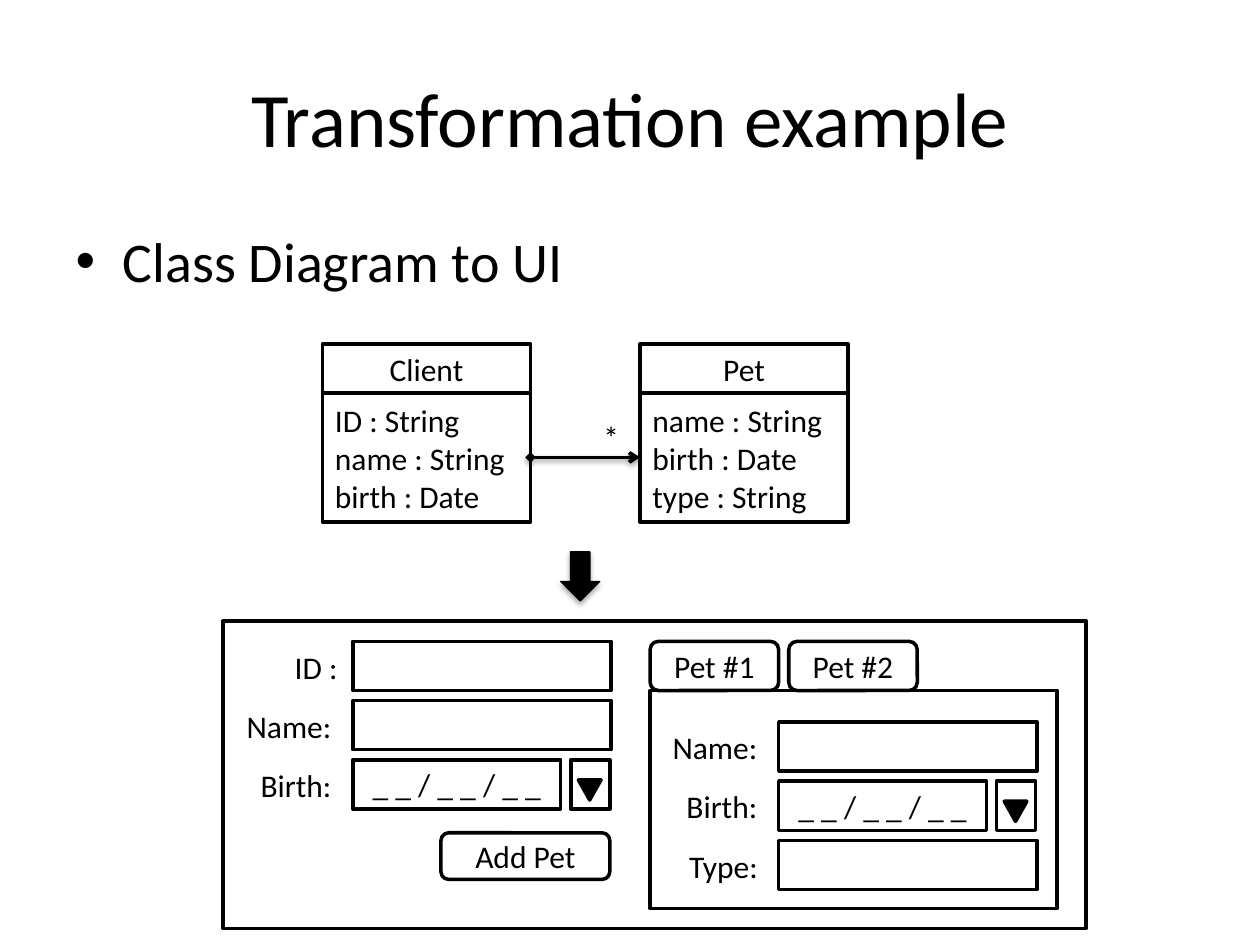
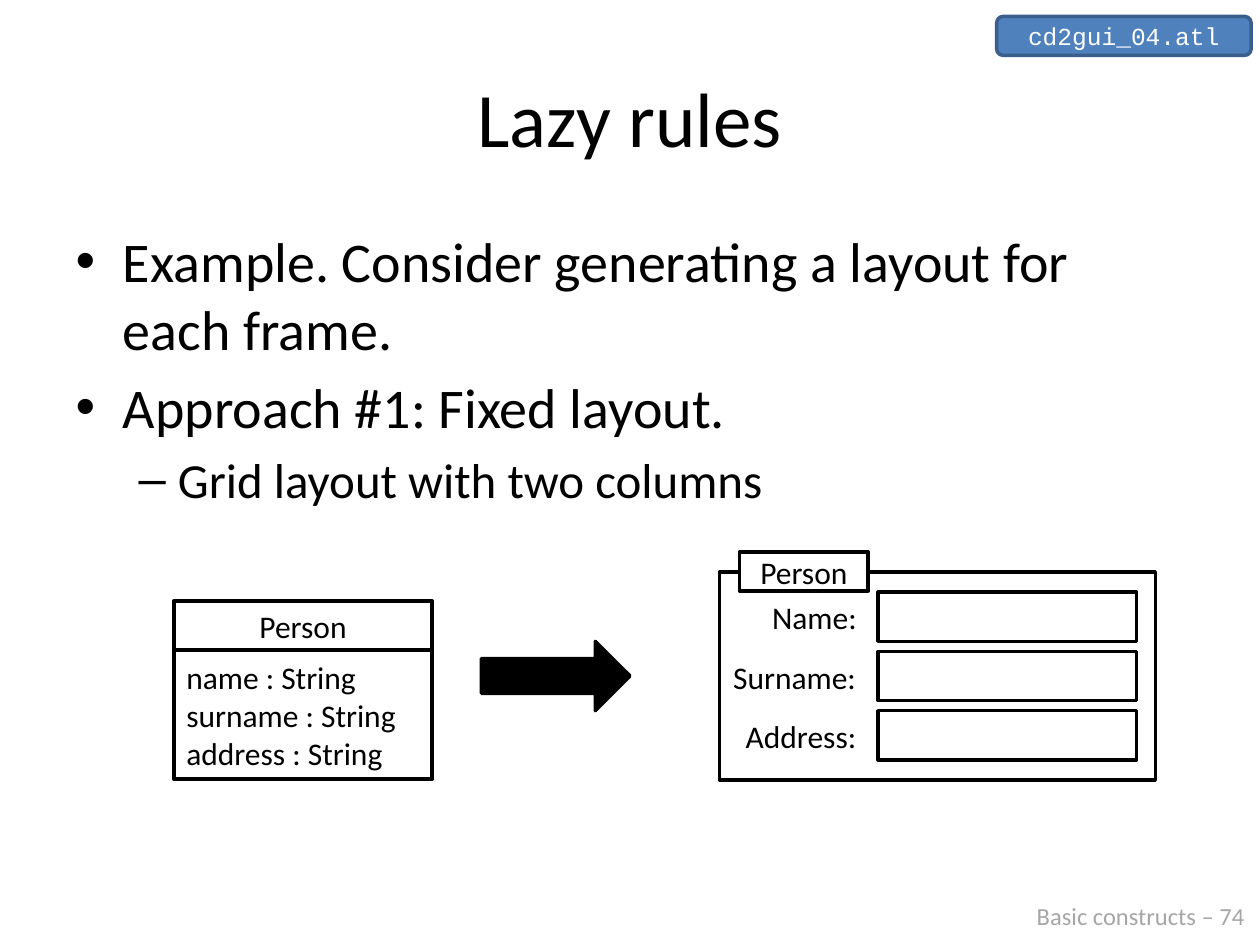
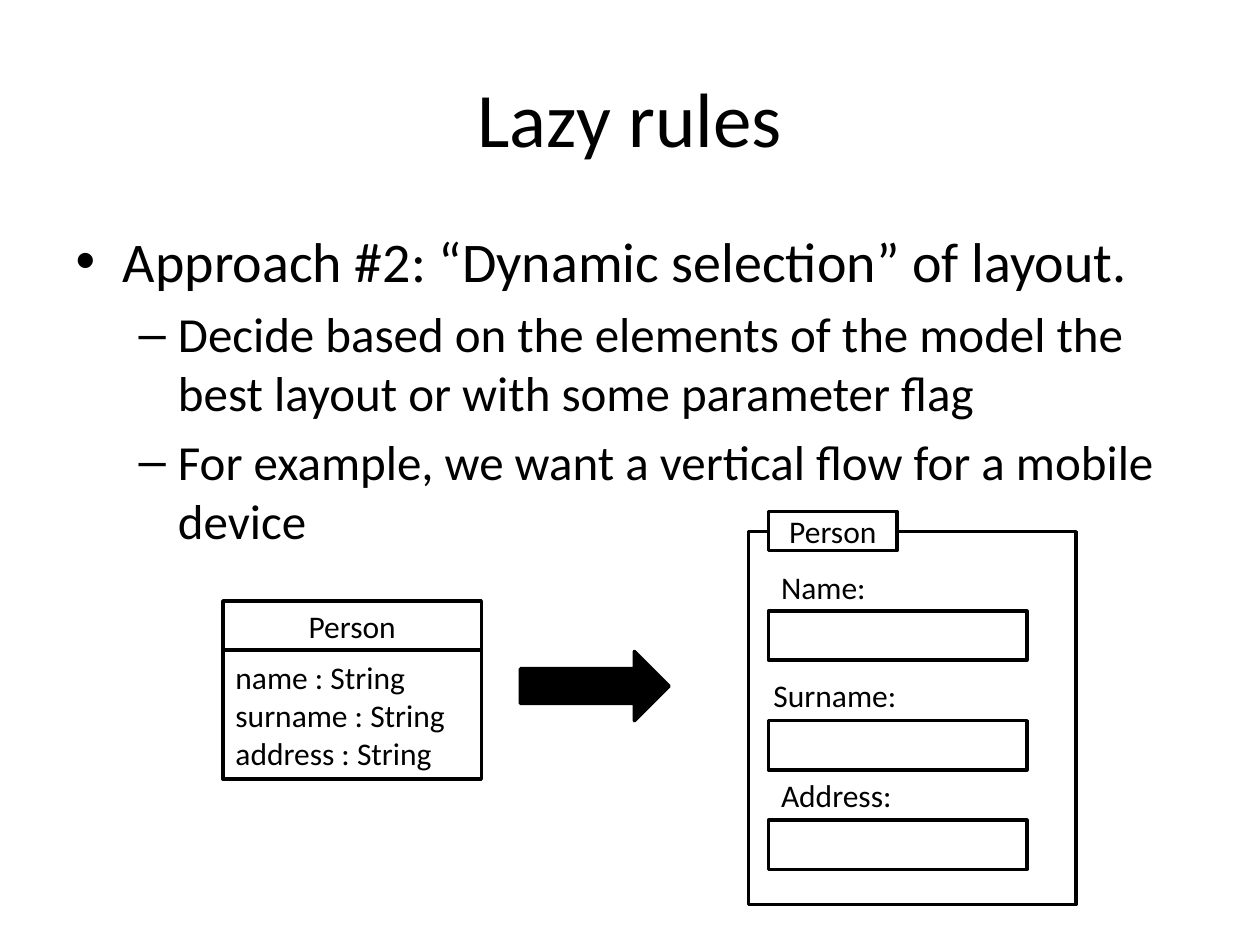
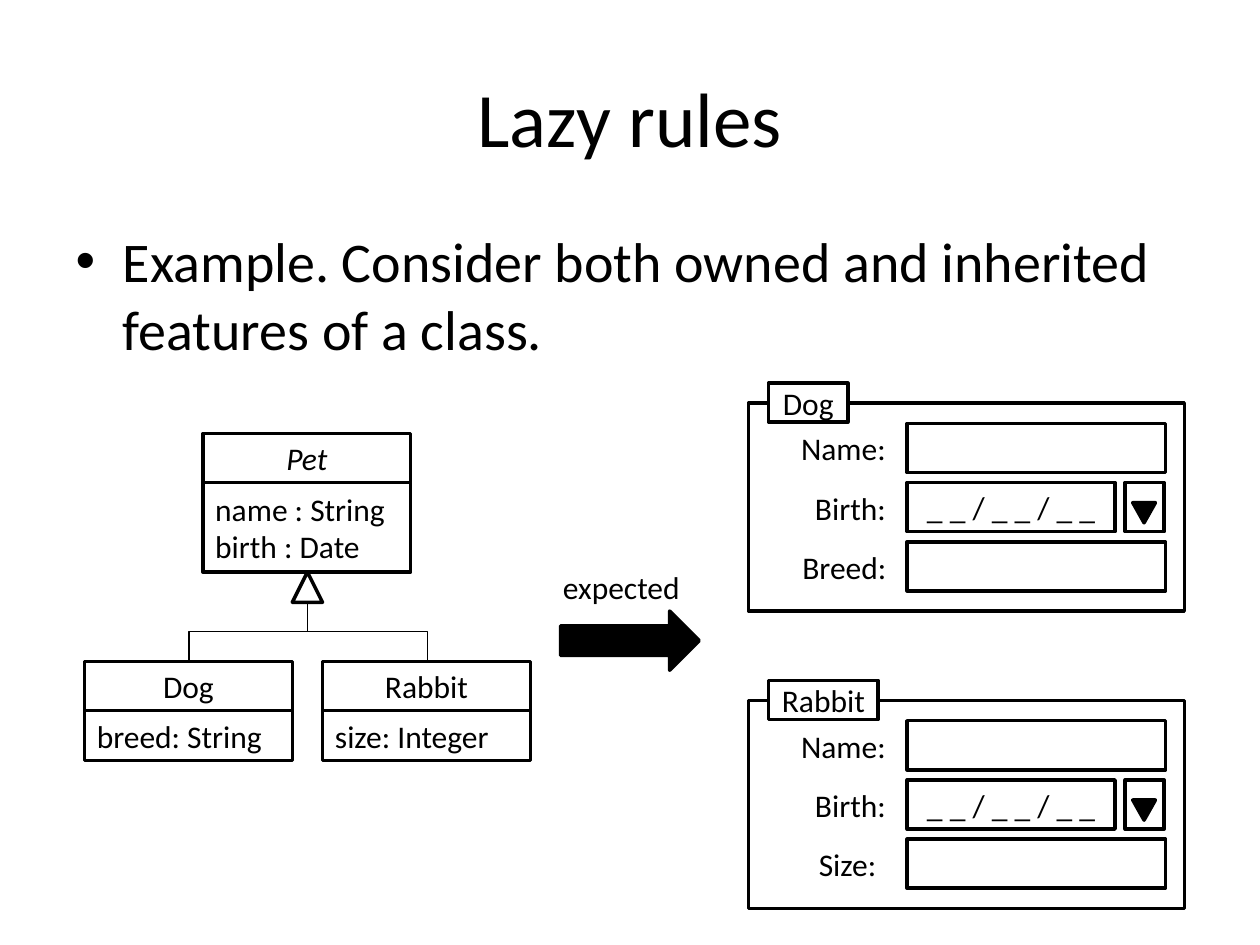
from dataclasses import dataclass

import pptx
import pptx.dml.color
import pptx.enum.shapes
import pptx.enum.text
import pptx.oxml
import pptx.oxml.ns
import pptx.util
from pptx.util import Inches

Color = pptx.dml.color.RGBColor
Shape = pptx.enum.shapes.MSO_SHAPE
Link = pptx.enum.shapes.MSO_CONNECTOR
Align = pptx.enum.text.PP_ALIGN
Anchor = pptx.enum.text.MSO_ANCHOR
AutoSize = pptx.enum.text.MSO_AUTO_SIZE

BLACK = Color(0x00, 0x00, 0x00)
WHITE = Color(0xFF, 0xFF, 0xFF)
GREY = Color(0xA6, 0xA6, 0xA6)
BLUE = Color(0x4F, 0x81, 0xBD)
DARK_BLUE = Color(0x3A, 0x5F, 0x8C)

FONT = "Calibri"
CODE_FONT = "Courier New"
BODY_SIZES = (32, 28)
ROW_H = 0.39      # height of fields and class names
ROW_PITCH = 0.47  # distance between form rows
FIELD_W = 2.05
DATE_W = 1.65
TAB_H = 0.31
PAD = 0.16        # space between a frame and its contents


@dataclass
class Box:
    x: float
    y: float
    w: float
    h: float


@dataclass
class Style:
    size: float = 18
    color: Color = BLACK
    font: str = FONT
    italic: bool = False


@dataclass
class Row:
    label: str
    label_w: float
    date: bool = False
    gap: float = 0


@dataclass
class UmlClass:
    name: str
    attributes: list[str]
    x: float
    y: float
    w: float = 1.65
    abstract: bool = False


TEXT = Style()
NAME = Row("Name:", 0.94)
BIRTH = Row("Birth:", 0.83, date=True)
SURNAME = Row("Surname:", 1.25)
ADDRESS = Row("Address:", 1.15)
PERSON = ["name : String", "surname : String", "address : String"]


# Text and basic shapes

def add_run(p, text: str, style: Style) -> None:
    r = p.add_run()
    r.text = text
    r.font.size = pptx.util.Pt(style.size)
    r.font.name = style.font
    r.font.color.rgb = style.color
    if style.italic:
        r.font.italic = True


def add_lines(tf, lines: list[str], style: Style, align=None) -> None:
    for i, line in enumerate(lines):
        p = tf.add_paragraph() if i else tf.paragraphs[0]
        p.alignment = align
        add_run(p, line, style)


def place(sp, box: Box) -> None:
    sp.left, sp.top = Inches(box.x), Inches(box.y)
    sp.width, sp.height = Inches(box.w), Inches(box.h)


def add_box(s, box: Box, lines=(), kind=Shape.RECTANGLE, fill=WHITE, line=BLACK,
            line_w: float = 2, style: Style = TEXT, align=Align.CENTER):
    sp = s.shapes.add_shape(kind, Inches(box.x), Inches(box.y), Inches(box.w), Inches(box.h))
    sp.shadow.inherit = False
    sp.fill.solid()
    sp.fill.fore_color.rgb = fill
    sp.line.color.rgb = line
    sp.line.width = pptx.util.Pt(line_w)
    sp.text_frame.vertical_anchor = Anchor.MIDDLE
    add_lines(sp.text_frame, lines, style, align)
    return sp


def add_label(s, box: Box, text: str, style: Style = TEXT, wrap: bool = False) -> None:
    tf = s.shapes.add_textbox(Inches(box.x), Inches(box.y), Inches(box.w), Inches(box.h)).text_frame
    tf.word_wrap = wrap
    tf.auto_size = AutoSize.SHAPE_TO_FIT_TEXT
    add_lines(tf, [text], style)


def add_xml(parent, xml: str) -> None:
    tag, rest = xml.split(" ", 1)
    parent.append(pptx.oxml.parse_xml(f"<a:{tag} {pptx.oxml.ns.nsdecls('a')} {rest}"))


def add_shadow(sp, alpha: int, dist: int) -> None:
    """Replace the effects by a soft shadow below the shape."""
    props = sp._element.spPr
    for effects in props.findall(pptx.oxml.ns.qn("a:effectLst")):
        props.remove(effects)
    add_xml(props, f'effectLst ><a:outerShdw blurRad="40000" dist="{dist}" dir="5400000" '
                   f'rotWithShape="0"><a:srgbClr val="{BLACK}"><a:alpha val="{alpha}000"/>'
                   '</a:srgbClr></a:outerShdw></a:effectLst>')


def add_link(s, kind, x1: float, y1: float, x2: float, y2: float, width: float):
    link = s.shapes.add_connector(kind, Inches(x1), Inches(y1), Inches(x2), Inches(y2))
    link.line.color.rgb = BLACK
    link.line.width = pptx.util.Pt(width)
    return link


# Class diagrams

def draw_class(s, c: UmlClass) -> None:
    add_box(s, Box(c.x, c.y, c.w, ROW_H), [c.name], style=Style(italic=c.abstract))
    height = 0.08 + 0.315 * len(c.attributes)
    add_box(s, Box(c.x, c.y + ROW_H, c.w, height), c.attributes, align=Align.LEFT)


def draw_inheritance(s, x: float, y: float, parent_x: float, parent_y: float) -> None:
    """Elbow that leaves the child upwards: a turned box around the middle."""
    mid_x, mid_y = (x + parent_x) / 2, (y + parent_y) / 2
    side = 1 if x < parent_x else -1
    dx, dy = side * (y - parent_y) / 2, abs(x - parent_x) / 2
    link = add_link(s, Link.ELBOW, mid_x + dx, mid_y + dy, mid_x - dx, mid_y - dy, 0.75)
    link._element.spPr.xfrm.set("rot", str((180 - 90 * side) * 60000))
    add_xml(link._element.spPr, "effectLst />")


def draw_arrow(s, box: Box) -> None:
    add_box(s, box, kind=Shape.RIGHT_ARROW, fill=BLACK)


# Form mock-ups

def draw_field(s, x: float, y: float, date: bool = False) -> None:
    if not date:
        add_box(s, Box(x, y, FIELD_W, ROW_H))
        return
    add_box(s, Box(x, y, DATE_W, ROW_H), ["_ _ / _ _ / _ _"])
    add_box(s, Box(x + 1.73, y, 0.31, ROW_H))
    mark = add_box(s, Box(x + 1.79, y + 0.16, 0.18, 0.16), kind=Shape.ISOSCELES_TRIANGLE, fill=BLACK)
    mark._element.spPr.xfrm.set("flipV", "1")


def draw_rows(s, x: float, y: float, rows: list[Row]) -> None:
    for i, row in enumerate(rows):
        top = y + i * ROW_PITCH
        add_label(s, Box(x - row.gap - row.label_w, top, row.label_w, 0.4), row.label)
        draw_field(s, x, top, row.date)


def draw_frame(s, box: Box, title: str, tab_w: float) -> None:
    add_box(s, box)
    add_box(s, Box(box.x + PAD, box.y - PAD, tab_w, TAB_H), [title])


def draw_grid_form(s, x: float, y: float, title: str, tab_w: float, rows: list[Row]) -> None:
    draw_frame(s, Box(x, y, 3.46, 1.65), title, tab_w)
    draw_rows(s, x + 1.26, y + PAD, rows)


# Slides

def new_slide(prs, title: str, bullets: list[tuple[int, str]], body_h: float = 4.95):
    s = prs.slides.add_slide(prs.slide_layouts[1])
    place(s.shapes.title, Box(0.5, 0.3, 9, 1.25))
    add_lines(s.shapes.title.text_frame, [title], Style(44), Align.CENTER)
    body = s.placeholders[1]
    place(body, Box(0.5, 1.75, 9, body_h))
    tf = body.text_frame
    for i, (level, text) in enumerate(bullets):
        p = tf.add_paragraph() if i else tf.paragraphs[0]
        p.level = level
        add_run(p, text, Style(BODY_SIZES[level]))
    return s


def transformation_slide(prs) -> None:
    s = new_slide(prs, "Transformation example", [(0, "Class Diagram to UI")], 0.66)
    draw_class(s, UmlClass("Client", ["ID : String", "name : String", "birth : Date"], 2.56, 2.73))
    draw_class(s, UmlClass("Pet", ["name : String", "birth : Date", "type : String"], 5.08, 2.73))
    link = add_link(s, Link.STRAIGHT, 4.21, 3.63, 5.08, 3.63, 2)
    ln = link.line._get_or_add_ln()
    add_xml(ln, 'headEnd type="diamond"/>')
    add_xml(ln, 'tailEnd type="arrow"/>')
    add_shadow(link, 38, 20000)
    add_label(s, Box(4.69, 3.27, 0.33, 0.4), "*")

    # Client form
    add_box(s, Box(1.77, 4.93, 6.85, 2.44))
    draw_rows(s, 2.8, 5.09, [Row("ID :", 0.61, gap=-0.05), NAME, BIRTH])
    add_box(s, Box(3.5, 6.61, 1.34, 0.37), ["Add Pet"], Shape.ROUNDED_RECTANGLE)

    # Pet tabs
    add_box(s, Box(5.16, 5.48, 3.23, 1.73))
    for i in range(2):
        add_box(s, Box(5.16 + 1.1 * i, 5.09, 1.02, ROW_H), [f"Pet #{i + 1}"], Shape.ROUNDED_RECTANGLE)
    draw_rows(s, 6.18, 5.73, [NAME, BIRTH, Row("Type:", 0.81)])

    down = add_box(s, Box(4.45, 4.38, 0.31, 0.39), kind=Shape.DOWN_ARROW, fill=BLACK, line_w=0.75)
    add_shadow(down, 35, 23000)


def fixed_layout_slide(prs) -> None:
    s = new_slide(prs, "Lazy rules", [
        (0, "Example. Consider generating a layout for each frame."),
        (0, "Approach #1: Fixed layout."),
        (1, "Grid layout with two columns")])
    add_box(s, Box(7.91, 0.13, 2.02, 0.31), ["cd2gui_04.atl"], Shape.ROUNDED_RECTANGLE,
            BLUE, DARK_BLUE, style=Style(14, WHITE, CODE_FONT))
    draw_class(s, UmlClass("Person", PERSON, 1.38, 4.77, FIELD_W))
    draw_grid_form(s, 5.71, 4.54, "Person", 1.02, [NAME, SURNAME, ADDRESS])
    draw_arrow(s, Box(3.82, 5.09, 1.18, 0.55))
    add_label(s, Box(8.13, 7.1, 1.87, 0.34), "Basic constructs – 74", Style(14, GREY))


def dynamic_layout_slide(prs) -> None:
    s = new_slide(prs, "Lazy rules", [
        (0, "Approach #2: “Dynamic selection” of layout."),
        (1, "Decide based on the elements of the model the best layout or with some parameter flag"),
        (1, "For example, we want a vertical flow for a mobile device")])
    draw_class(s, UmlClass("Person", PERSON, 1.77, 4.77, FIELD_W))
    draw_arrow(s, Box(4.13, 5.17, 1.18, 0.55))
    draw_frame(s, Box(5.94, 4.22, 2.6, 2.96), "Person", 1.02)
    add_label(s, Box(6.1, 4.46, 1.02, 0.4), NAME.label, wrap=True)
    add_label(s, Box(6.04, 5.32, SURNAME.label_w, 0.4), SURNAME.label)
    add_label(s, Box(6.1, 6.11, ADDRESS.label_w, 0.4), ADDRESS.label)
    for y in (4.85, 5.72, 6.51):
        draw_field(s, 6.1, y)


def inheritance_slide(prs) -> None:
    s = new_slide(prs, "Lazy rules", [
        (0, "Example. Consider both owned and inherited features of a class.")])
    draw_class(s, UmlClass("Pet", ["name : String", "birth : Date"], 1.61, 3.44, abstract=True))
    draw_class(s, UmlClass("Dog", ["breed: String"], 0.67, 5.25))
    draw_class(s, UmlClass("Rabbit", ["size: Integer"], 2.56, 5.25))
    add_box(s, Box(2.32, 4.54, 0.24, 0.24), kind=Shape.ISOSCELES_TRIANGLE)
    for child_x in (1.5, 3.39):
        draw_inheritance(s, child_x, 5.25, 2.44, 4.77)
    draw_grid_form(s, 5.94, 3.2, "Dog", 0.63, [NAME, BIRTH, Row("Breed:", 0.93)])
    draw_grid_form(s, 5.94, 5.56, "Rabbit", 0.87, [NAME, BIRTH, Row("Size:", 0.72, gap=0.08)])
    draw_arrow(s, Box(4.45, 4.85, 1.1, 0.47))
    add_label(s, Box(4.37, 4.46, 1.14, 0.4), "expected")


def main() -> None:
    prs = pptx.Presentation()
    prs.slide_width, prs.slide_height = Inches(10), Inches(7.5)
    transformation_slide(prs)
    fixed_layout_slide(prs)
    dynamic_layout_slide(prs)
    inheritance_slide(prs)
    prs.save("out.pptx")


if __name__ == "__main__":
    main()
